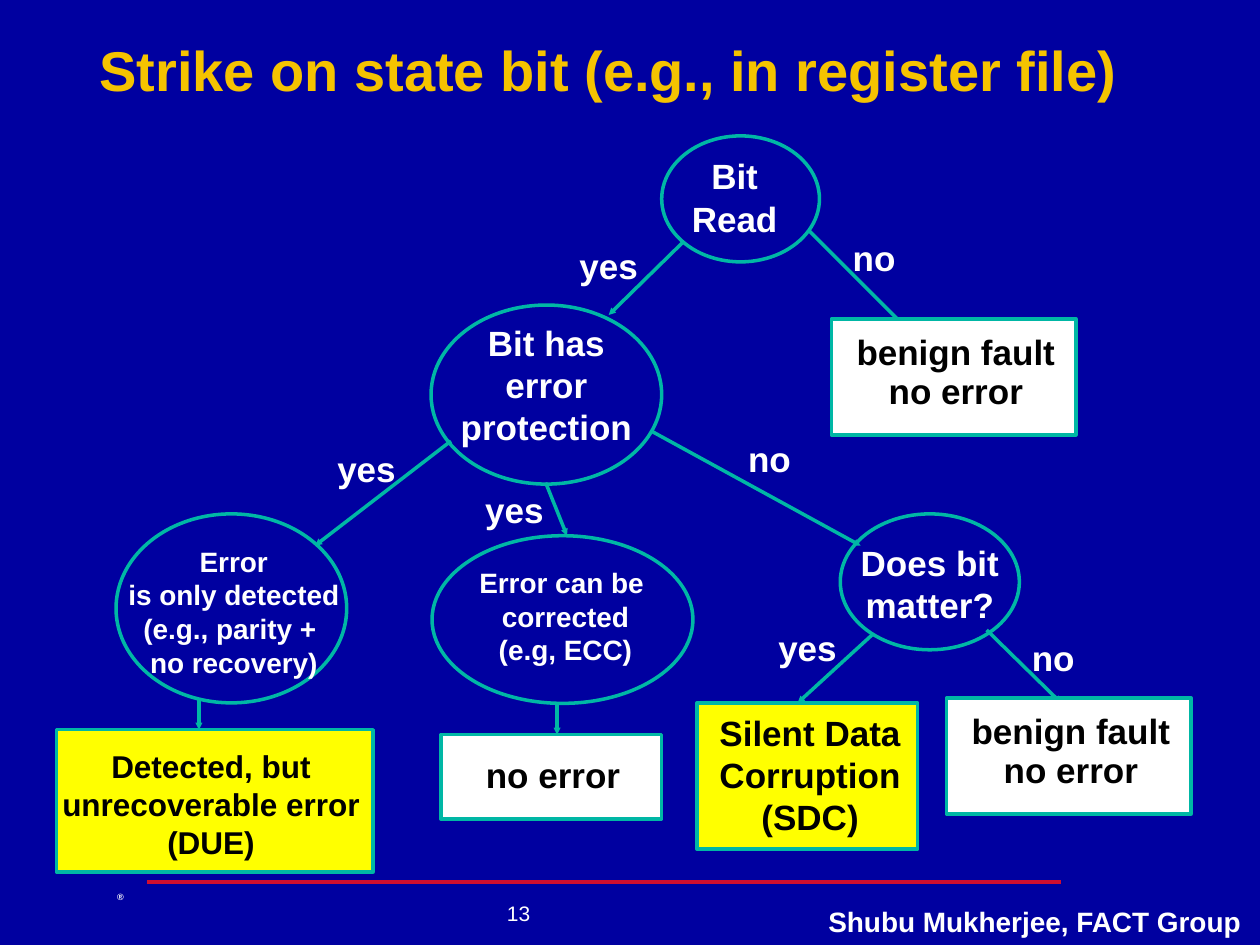
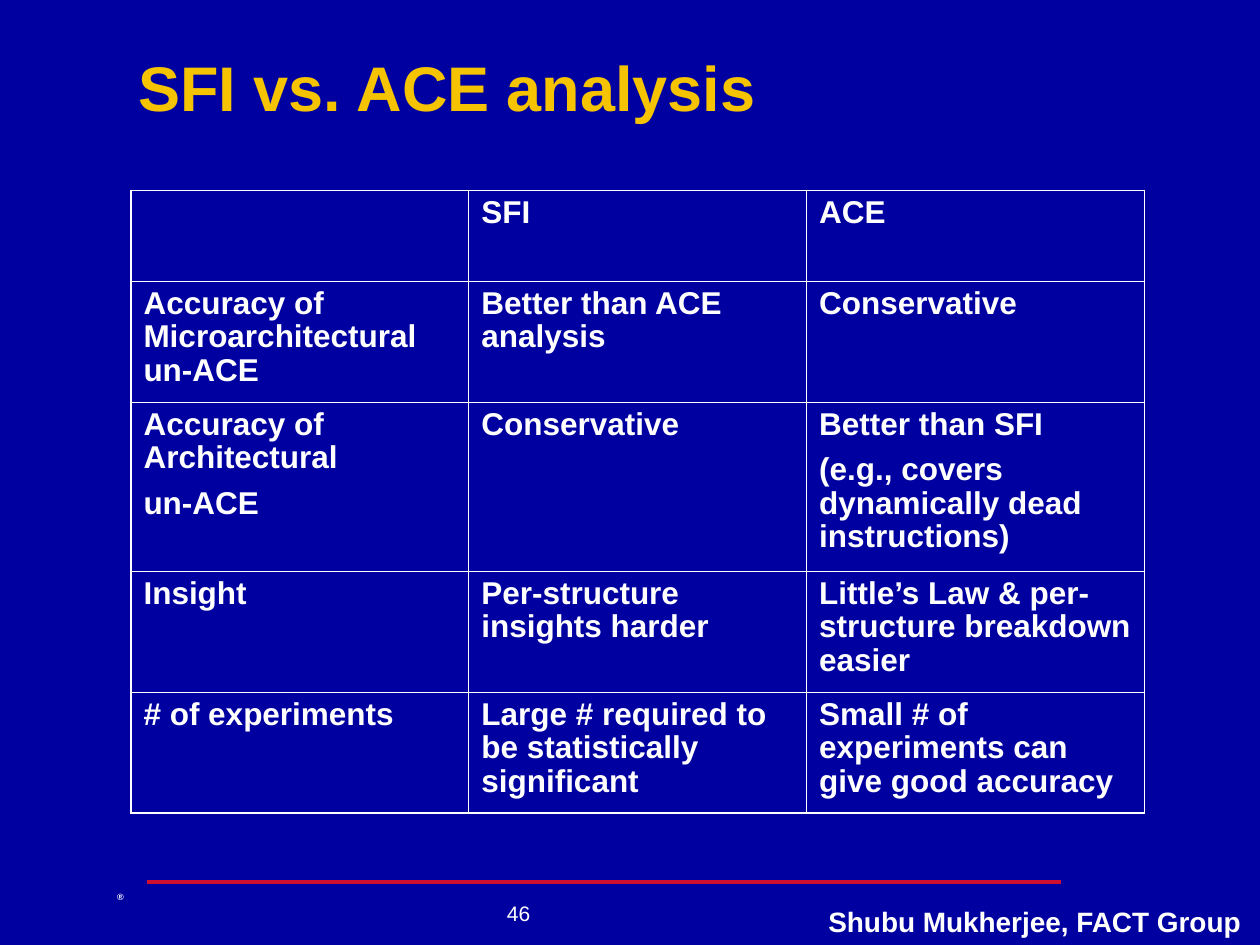
"""Builds two slides on soft errors: a strike decision tree and an SFI/ACE comparison."""
from dataclasses import dataclass
from typing import NamedTuple, Optional

from lxml.etree import SubElement
from pptx import Presentation
from pptx.dml.color import RGBColor
from pptx.enum.shapes import MSO_CONNECTOR as Link, MSO_SHAPE as Preset
from pptx.enum.text import MSO_ANCHOR as Anchor, MSO_AUTO_SIZE as Fit, PP_ALIGN as Align
from pptx.oxml import parse_xml
from pptx.oxml.ns import nsdecls, qn
from pptx.util import Cm, Pt

COLORS = {
    "navy": "0000A0",
    "gold": "F5C300",
    "teal": "00B7A5",
    "red": "CF0E30",
    "yellow": "FFFF00",
    "white": "FFFFFF",
    "black": "000000",
}
FONT = "Arial"
AUTHOR = "Shubu Mukherjee, FACT Group"
THIN, THICK = 0.45, 1.08


class Box(NamedTuple):
    left: float
    top: float
    width: float
    height: float

    def lengths(self) -> list:
        return [Cm(value) for value in self]


class Point(NamedTuple):
    x: float
    y: float


@dataclass(frozen=True)
class Node:
    outline: Box
    label: Box
    text: str
    size: float = 20
    fill: Optional[str] = None
    wrap: bool = True
    before: float = 12.5
    next_spacing: Optional[float] = None


@dataclass(frozen=True)
class Branch:
    start: Point
    end: Point
    answer: str = ""
    answer_at: Point = Point(0, 0)


def benign(left: float, top: float) -> Node:
    return Node(Box(left, top, 4.93, 2.34), Box(left - 0.18, top + 0.1, 5.38, 1.8),
                "benign fault\nno error", fill="white", next_spacing=0.3)


NODES = [
    Node(Box(13.34, 2.74, 3.18, 2.54), Box(13.69, 3, 2.24, 1.96),
         "Bit\nRead", wrap=False, before=0),
    Node(Box(8.69, 6.15, 4.65, 3.61), Box(8.69, 6.35, 4.65, 2.79),
         "Bit has error protection"),
    Node(Box(2.34, 10.36, 4.65, 3.81), Box(2.34, 10.85, 4.75, 2.97),
         "Error\nis only detected\n(e.g., parity + \nno recovery)",
         size=16, wrap=False, before=0),
    Node(Box(8.71, 10.8, 5.26, 3.38), Box(9.42, 11.28, 3.96, 2.29),
         "Error can be \ncorrected\n(e.g, ECC)", size=16, wrap=False, before=0),
    Node(Box(16.94, 10.36, 3.61, 2.74), Box(16.94, 10.8, 3.61, 1.96),
         "Does bit matter?"),
    Node(Box(14.05, 14.17, 4.45, 2.95), Box(13.89, 14.22, 4.88, 2.79),
         "Silent Data Corruption (SDC)", fill="yellow"),
    Node(Box(1.14, 14.71, 6.38, 2.87), Box(0.76, 14.94, 6.99, 2.54),
         "Detected, but unrecoverable error (DUE)", size=18, fill="yellow", before=11.2),
    Node(Box(8.89, 14.81, 4.45, 1.7), Box(8.71, 15.06, 4.88, 1.12),
         "no error", fill="white"),
    benign(19.08, 14.07),
    benign(16.76, 6.43),
]

BRANCHES = [
    Branch(Point(13.77, 4.88), Point(12.27, 6.35), "yes", Point(11.43, 4.8)),
    Branch(Point(16.31, 4.65), Point(18.21, 6.55), "no", Point(16.94, 4.65)),
    Branch(Point(9.09, 8.89), Point(6.35, 11), "yes", Point(6.55, 8.89)),
    Branch(Point(11, 9.73), Point(11.43, 10.8), "yes", Point(9.53, 9.73)),
    Branch(Point(13.13, 8.69), Point(17.35, 11), "no", Point(14.83, 8.69)),
    Branch(Point(17.6, 12.78), Point(16.08, 14.17), "yes", Point(15.44, 12.5)),
    Branch(Point(19.89, 12.7), Point(21.39, 14.17), "no", Point(20.55, 12.7)),
    Branch(Point(4.01, 14.07), Point(4.01, 14.71)),
    Branch(Point(11.23, 14.17), Point(11.23, 14.81)),
]
ANSWER_WIDTHS = {"yes": 1.68, "no": 1.37}

COMPARISON = [
    ["", "SFI", "ACE"],
    ["Accuracy of Microarchitectural un-ACE", "Better than ACE analysis", "Conservative"],
    ["Accuracy of Architectural\nun-ACE", "Conservative",
     "Better than SFI\n(e.g., covers dynamically dead instructions)"],
    ["Insight", "Per-structure insights harder",
     "Little’s Law & per-structure breakdown easier"],
    ["# of experiments", "Large # required to be statistically significant",
     "Small # of experiments can give good accuracy"],
]
ROW_HEIGHTS = [1.83, 2.44, 3.4, 2.44, 2.44]
COLUMN_WIDTH = 6.81


def rgb(name: str) -> RGBColor:
    return RGBColor.from_string(COLORS[name])


def write(frame, text: str, *, size: float = 20, color: str = "white", bold: bool = True,
          align=Align.LEFT, anchor=Anchor.TOP, wrap: bool = True, before: float = 0,
          spacing: float = 1, next_spacing: Optional[float] = None, baseline: int = 0) -> None:
    frame.word_wrap = wrap
    frame.auto_size = Fit.NONE
    frame.vertical_anchor = anchor
    for index, words in enumerate(text.split("\n")):
        paragraph = frame.add_paragraph() if index else frame.paragraphs[0]
        paragraph.alignment = align
        paragraph.space_before = Pt(before)
        paragraph.line_spacing = next_spacing if index and next_spacing else spacing
        run = paragraph.add_run()
        run.text = words
        run.font.name, run.font.size, run.font.bold = FONT, Pt(size), bold
        run.font.color.rgb = rgb(color)
        if baseline:
            run.font._element.set("baseline", str(baseline * 1000))


def add_label(slide, box: Box, text: str, **style) -> None:
    write(slide.shapes.add_textbox(*box.lengths()).text_frame, text, **style)


def add_line(slide, start: Point, end: Point, color: str, arrow: bool = False) -> None:
    line = slide.shapes.add_connector(Link.STRAIGHT, *(Cm(value) for value in (*start, *end)))
    line.line.color.rgb = rgb(color)
    line.line.width = Pt(2)
    properties = line.element.spPr
    if arrow:
        SubElement(properties.find(qn("a:ln")), qn("a:tailEnd"), type="triangle", w="sm", len="sm")
    SubElement(properties, qn("a:effectLst"))


def add_node(slide, node: Node) -> None:
    preset = Preset.RECTANGLE if node.fill else Preset.OVAL
    outline = slide.shapes.add_shape(preset, *node.outline.lengths())
    outline.shadow.inherit = False
    outline.line.color.rgb = rgb("teal")
    outline.line.width = Pt(2)
    if node.fill:
        outline.fill.solid()
        outline.fill.fore_color.rgb = rgb(node.fill)
    else:
        outline.fill.background()
    add_label(slide, node.label, node.text, size=node.size, wrap=node.wrap,
              color="black" if node.fill else "white", align=Align.CENTER,
              before=node.before, next_spacing=node.next_spacing)


def add_branch(slide, branch: Branch) -> None:
    add_line(slide, branch.start, branch.end, "teal", arrow=True)
    if branch.answer:
        box = Box(*branch.answer_at, ANSWER_WIDTHS[branch.answer], 1.12)
        add_label(slide, box, branch.answer, wrap=False)


def add_slide(deck, title: str, title_box: Box, title_size: float, number: int):
    slide = deck.slides.add_slide(deck.slide_layouts[5])
    heading = slide.shapes.title
    heading.left, heading.top, heading.width, heading.height = title_box.lengths()
    write(heading.text_frame, title, size=title_size, color="gold",
          anchor=Anchor.MIDDLE, spacing=0.9)
    add_label(slide, Box(2.11, 17.81, 0.66, 0.64), "®", size=9, wrap=False, baseline=30)
    add_line(slide, Point(2.97, 17.78), Point(21.39, 17.78), "red")
    add_label(slide, Box(8.13, 17.78, 4.65, 1.27), str(number), size=12, bold=False,
              align=Align.CENTER, anchor=Anchor.MIDDLE, wrap=False)
    add_label(slide, Box(16.43, 18.11, 8.86, 0.94), AUTHOR, size=16,
              align=Align.CENTER, wrap=False)
    return slide


def set_borders(cell, widths: dict) -> None:
    properties = cell._tc.get_or_add_tcPr()
    for position, (side, width) in enumerate(widths.items()):
        properties.insert(position, parse_xml(
            f'<a:ln{side} {nsdecls("a")} w="{Pt(width)}"><a:solidFill>'
            f'<a:srgbClr val="{COLORS["white"]}"/></a:solidFill></a:ln{side}>'))


def add_comparison(slide, left: float, top: float) -> None:
    last_row, last_column = len(COMPARISON) - 1, len(COMPARISON[0]) - 1
    box = Box(left, top, COLUMN_WIDTH * (last_column + 1), sum(ROW_HEIGHTS))
    table = slide.shapes.add_table(last_row + 1, last_column + 1, *box.lengths()).table
    table.first_row = table.horz_banding = False
    for column in table.columns:
        column.width = Cm(COLUMN_WIDTH)
    for r, (height, entries) in enumerate(zip(ROW_HEIGHTS, COMPARISON)):
        table.rows[r].height = Cm(height)
        for c, entry in enumerate(entries):
            cell = table.cell(r, c)
            cell.fill.background()
            edges = {"L": c == 0, "R": c == last_column, "T": r == 0, "B": r == last_row}
            set_borders(cell, {side: THICK if outer else THIN for side, outer in edges.items()})
            if entry:
                write(cell.text_frame, entry, size=18, before=6.8, spacing=0.95)


def main() -> None:
    deck = Presentation()
    deck.slide_width, deck.slide_height = Cm(25.4), Cm(19.05)
    backdrop = deck.slide_master.background.fill
    backdrop.solid()
    backdrop.fore_color.rgb = rgb("navy")

    strike = add_slide(deck, "Strike on state bit (e.g., in register file)",
                       Box(1.75, 0.43, 23.65, 2.11), 32, 13)
    for branch in BRANCHES:
        add_branch(strike, branch)
    for node in NODES:
        add_node(strike, node)

    analysis = add_slide(deck, "SFI vs. ACE analysis", Box(2.54, 0.25, 22.2, 3.18), 36, 46)
    add_comparison(analysis, 2.64, 3.84)
    deck.save("out.pptx")


if __name__ == "__main__":
    main()
